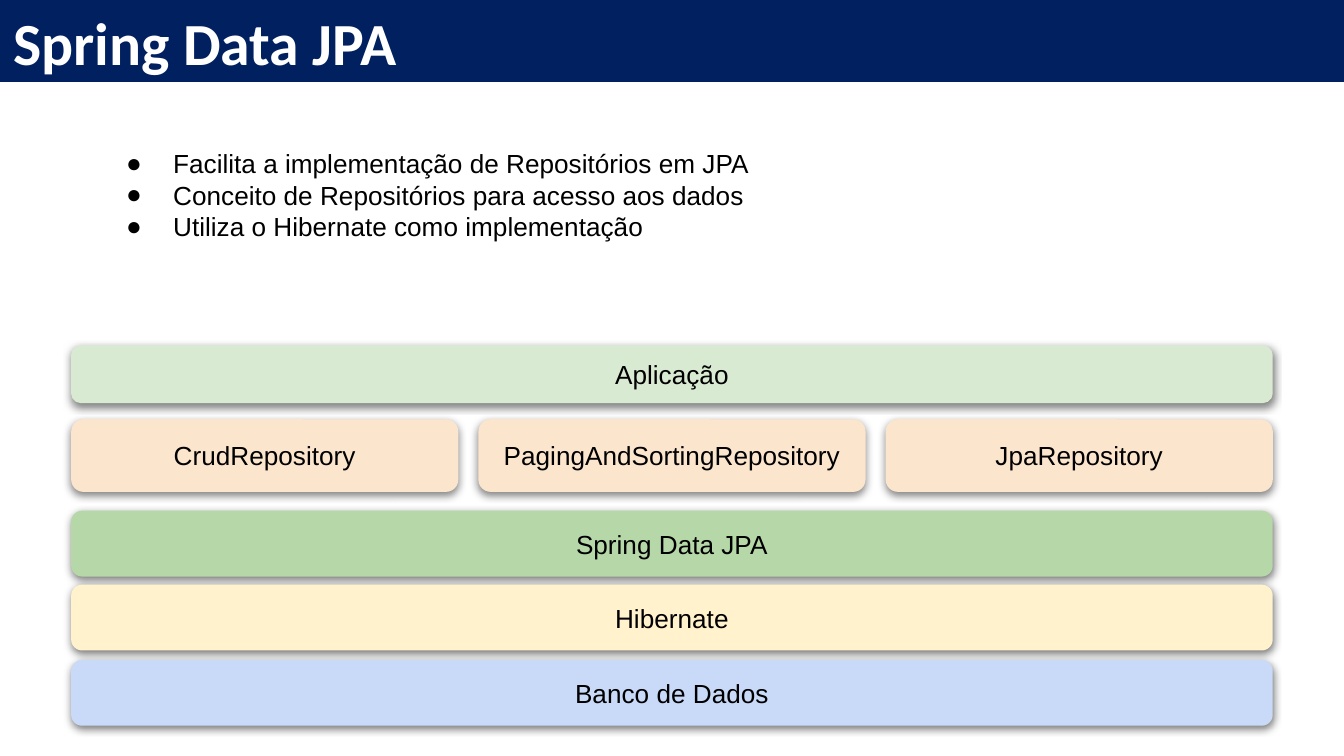
from dataclasses import dataclass

from lxml import etree
from pptx import Presentation
from pptx.dml.color import RGBColor
from pptx.enum.shapes import MSO_SHAPE
from pptx.enum.text import MSO_ANCHOR, PP_ALIGN
from pptx.oxml.ns import qn
from pptx.util import Inches, Pt

RECTANGLE = MSO_SHAPE.RECTANGLE
ROUNDED = MSO_SHAPE.ROUNDED_RECTANGLE
TOP = MSO_ANCHOR.TOP
MIDDLE = MSO_ANCHOR.MIDDLE
LEFT = PP_ALIGN.LEFT
CENTER = PP_ALIGN.CENTER
SLIDE_WIDTH = 10
SLIDE_HEIGHT = SLIDE_WIDTH * 9 / 16


@dataclass(frozen=True)
class Theme:
    navy: str = "002060"
    white: str = "FFFFFF"
    black: str = "000000"
    application: str = "D9EAD3"
    repository: str = "FCE5CD"
    spring: str = "B6D7A8"
    hibernate: str = "FFF2CC"
    database: str = "C9DAF8"
    title_font: str = "Calibri"
    body_font: str = "Arial"
    title_size: int = 32
    body_size: int = 14


class SlideBuilder:
    def __init__(self, slide, theme):
        self.slide = slide
        self.theme = theme

    def _prepare_frame(self, shape, anchor):
        frame = shape.text_frame
        frame.word_wrap = True
        frame.vertical_anchor = anchor
        frame.margin_left = frame.margin_right = Inches(0.1)
        frame.margin_top = frame.margin_bottom = Inches(0.1)
        return frame

    def _write(self, paragraph, text, align=LEFT):
        paragraph.alignment = align
        run = paragraph.add_run()
        run.text = text
        run.font.name = self.theme.body_font
        run.font.size = Pt(self.theme.body_size)
        run.font.color.rgb = RGBColor.from_string(self.theme.black)
        return run

    def _add_filled(self, kind, left, top, width, height, color):
        shape = self.slide.shapes.add_shape(
            kind, Inches(left), Inches(top), Inches(width), Inches(height))
        shape.fill.solid()
        shape.fill.fore_color.rgb = RGBColor.from_string(color)
        shape.line.fill.background()
        shape.shadow.inherit = False
        return shape

    def _add_text_box(self, left, top, width, height):
        box = self.slide.shapes.add_textbox(
            Inches(left), Inches(top), Inches(width), Inches(height))
        return self._prepare_frame(box, TOP)

    def _drop_shadow(self, shape):
        effects = shape._element.spPr.find(qn("a:effectLst"))
        shadow = etree.SubElement(
            effects, qn("a:outerShdw"), blurRad=str(Pt(4.5)), dist=str(Pt(1.5)),
            dir="5400000", algn="bl", rotWithShape="0")
        color = etree.SubElement(shadow, qn("a:srgbClr"), val=self.theme.black)
        etree.SubElement(color, qn("a:alpha"), val="50000")

    def _add_bullet(self, paragraph):
        properties = paragraph._p.get_or_add_pPr()
        properties.set("marL", str(Inches(0.5)))
        properties.set("indent", str(Inches(-0.35)))
        color = etree.SubElement(properties, qn("a:buClr"))
        etree.SubElement(color, qn("a:srgbClr"), val=self.theme.black)
        etree.SubElement(properties, qn("a:buFont"), typeface=self.theme.body_font)
        etree.SubElement(properties, qn("a:buChar"), char="●")

    def banner(self, left, top, width, height):
        self._add_filled(RECTANGLE, left, top, width, height, self.theme.navy)

    def title(self, text, left, top, width, height):
        frame = self._add_text_box(left, top, width, height)
        font = self._write(frame.paragraphs[0], text).font
        font.name = self.theme.title_font
        font.size = Pt(self.theme.title_size)
        font.bold = True
        font.color.rgb = RGBColor.from_string(self.theme.white)

    def bullets(self, items, left, top, width, height):
        frame = self._add_text_box(left, top, width, height)
        for index, item in enumerate(items):
            paragraph = frame.add_paragraph() if index else frame.paragraphs[0]
            self._add_bullet(paragraph)
            self._write(paragraph, item)

    def layer(self, labels, top, height, color, left=0.53, width=8.94, gap=0.15):
        """Share one row of the stack equally among the labels."""
        block_width = (width - gap * (len(labels) - 1)) / len(labels)
        for column, label in enumerate(labels):
            block = self._add_filled(
                ROUNDED, left + column * (block_width + gap), top,
                block_width, height, color)
            self._drop_shadow(block)
            frame = self._prepare_frame(block, MIDDLE)
            self._write(frame.paragraphs[0], label, CENTER)


def main():
    presentation = Presentation()
    presentation.slide_width = Inches(SLIDE_WIDTH)
    presentation.slide_height = Inches(SLIDE_HEIGHT)
    theme = Theme()
    slide = presentation.slides.add_slide(presentation.slide_layouts[6])
    builder = SlideBuilder(slide, theme)

    builder.banner(-0.01, -0.01, 10.02, 0.62)
    builder.title("Spring Data JPA", 0, -0.06, 5.26, 0.54)
    builder.bullets([
        "Facilita a implementação de Repositórios em JPA",
        "Conceito de Repositórios para acesso aos dados",
        "Utiliza o Hibernate como implementação",
    ], 0.69, 1, 7.99, 1.03)

    repositories = ["CrudRepository", "PagingAndSortingRepository", "JpaRepository"]
    layers = [
        (["Aplicação"], 2.57, 0.43, theme.application),
        (repositories, 3.12, 0.54, theme.repository),
        (["Spring Data JPA"], 3.8, 0.49, theme.spring),
        (["Hibernate"], 4.35, 0.49, theme.hibernate),
        (["Banco de Dados"], 4.91, 0.49, theme.database),
    ]
    for labels, top, height, color in layers:
        builder.layer(labels, top, height, color)

    presentation.save("out.pptx")


if __name__ == "__main__":
    main()
